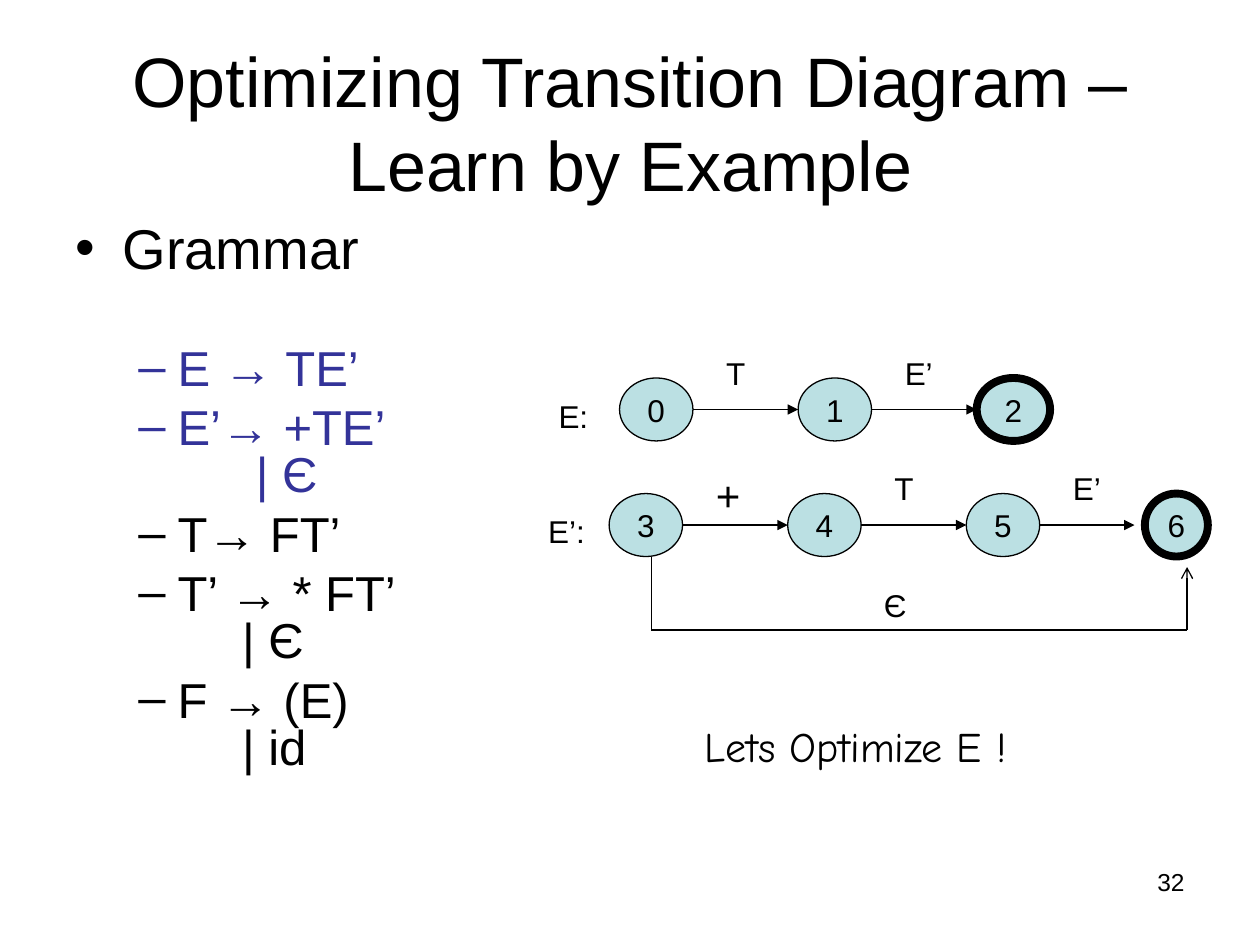
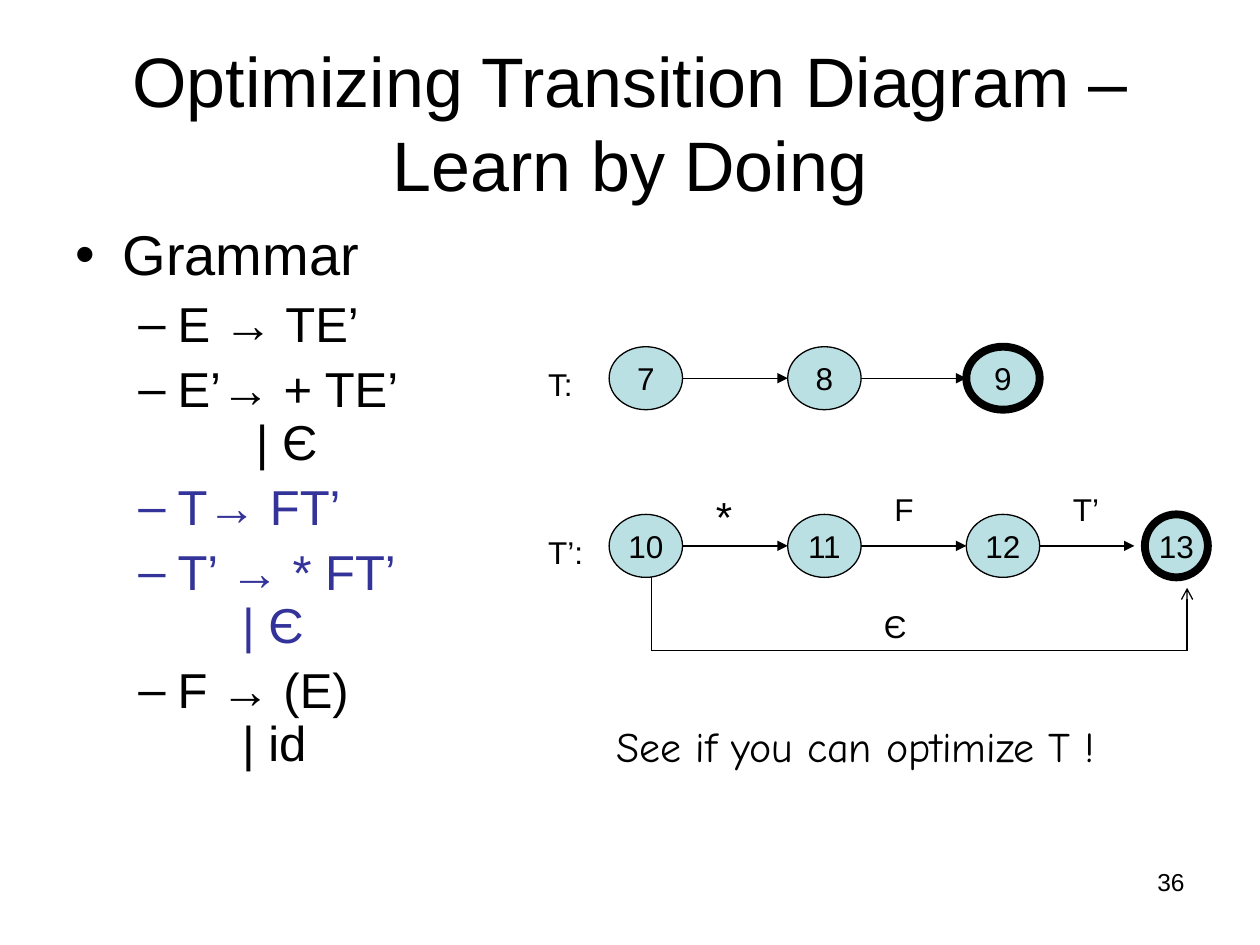
from dataclasses import dataclass

from lxml import etree
from pptx import Presentation
from pptx.dml.color import RGBColor
from pptx.enum import shapes, text
from pptx.oxml import ns
from pptx.util import Cm, Pt

BLACK = RGBColor(0x00, 0x00, 0x00)
INDIGO = RGBColor(0x33, 0x33, 0x99)
PALE_TEAL = RGBColor(0xBB, 0xE0, 0xE3)
BODY_FONT = "Arial"
CALL_FONT = "Comic Neue"
LEFT, CENTER, RIGHT = text.PP_ALIGN.LEFT, text.PP_ALIGN.CENTER, text.PP_ALIGN.RIGHT

# Diagram measures in cm
STATE_STEP = 3.6
STATE_WIDTH = 1.48
STATE_HEIGHT = 1.27
LABEL_WIDTH = 1.27
LABEL_HEIGHT = 1.02
LABEL_SHIFT = 1.9
LABEL_RISE = 0.61
FINAL_GAP = 0.21
BYPASS_INSET = 0.85
BYPASS_DROP = 2.75


@dataclass(frozen=True)
class Rule:
    """One grammar rule; the alternative goes on a second line at a tab stop."""
    production: str
    alternative: str = ""
    tab: float = 3.36


@dataclass(frozen=True)
class Diagram:
    """A row of states; with a bypass, an Є edge runs from first to last."""
    name: str
    left: float
    top: float
    states: tuple[int, ...]
    edges: tuple[str, ...] = ()
    bypass: bool = False


@dataclass(frozen=True)
class Lesson:
    title: str
    number: int
    rules: tuple[Rule, ...]
    highlighted: tuple[int, ...]
    body_width: float
    line_spacing: float
    heading_gap: float
    diagrams: tuple[Diagram, ...]
    call: str


def grammar(sum_rule: str) -> tuple[Rule, ...]:
    return (
        Rule("E → TE’"),
        Rule(sum_rule, "| Є", 3.64),
        Rule("T→ FT’"),
        Rule("T’ → * FT’", "| Є"),
        Rule("F → (E)", "| id"),
    )


LESSONS = (
    Lesson(
        "Optimizing Transition Diagram – Learn by Example", 32,
        grammar("E’→ +TE’"), (0, 1), 6.99, 0.8, 32,
        (Diagram("E:", 12.49, 7.62, (0, 1, 2), ("T", "E’")),
         Diagram("E’:", 12.28, 9.95, (3, 4, 5, 6), ("+", "T", "E’"), True)),
        "Lets Optimize E !",
    ),
    Lesson(
        "Optimizing Transition Diagram – Learn by Doing", 36,
        grammar("E’→ + TE’"), (2, 3), 7.83, 0.9, 0,
        (Diagram("T:", 12.28, 6.99, (7, 8, 9)),
         Diagram("T’:", 12.28, 10.37, (10, 11, 12, 13), ("*", "F", "T’"), True)),
        "See if you can optimize T !",
    ),
)


def write(paragraph, words: str, *, size: float = 18, font: str = BODY_FONT,
          color: RGBColor = BLACK, align=LEFT) -> None:
    paragraph.text = words
    paragraph.alignment = align
    for run in paragraph.runs:
        run.font.size = Pt(size)
        run.font.name = font
        run.font.color.rgb = color


def add_box(slide, left: float, top: float, width: float, height: float):
    frame = slide.shapes.add_textbox(Cm(left), Cm(top), Cm(width), Cm(height)).text_frame
    frame.word_wrap = True
    return frame


def add_label(slide, words: str, left: float, top: float, width: float = LABEL_WIDTH,
              height: float = LABEL_HEIGHT, **style) -> None:
    write(add_box(slide, left, top, width, height).paragraphs[0], words, **style)


def add_title(slide, words: str) -> None:
    title = slide.shapes.title
    title.left, title.top, title.width, title.height = Cm(1.27), Cm(0.85), Cm(22.86), Cm(3.18)
    frame = title.text_frame
    frame.auto_size = text.MSO_AUTO_SIZE.NONE
    frame.vertical_anchor = text.MSO_ANCHOR.MIDDLE
    write(frame.paragraphs[0], words, size=40, align=CENTER)


def set_bullet(paragraph, mark: str, color: RGBColor, margin: float, hang: float,
               tab: float = 0) -> None:
    """Give a paragraph its bullet, hanging indent and optional tab stop."""
    properties = paragraph._p.get_or_add_pPr()
    properties.set("marL", str(Cm(margin)))
    properties.set("indent", str(-Cm(hang)))

    def add(parent, tag: str, **attributes: str):
        return etree.SubElement(parent, ns.qn(tag), attributes)

    add(add(properties, "a:buClr"), "a:srgbClr", val=str(color))
    add(properties, "a:buFont", typeface=BODY_FONT)
    add(properties, "a:buChar", char=mark)
    if tab:
        add(add(properties, "a:tabLst"), "a:tab", pos=str(Cm(tab)), algn="l")


def add_grammar(slide, lesson: Lesson) -> None:
    frame = add_box(slide, 1.27, 4.45, lesson.body_width, 12.57)
    heading = frame.paragraphs[0]
    write(heading, "Grammar", size=32)
    heading.line_spacing = lesson.line_spacing
    heading.space_before = Pt(8)
    heading.space_after = Pt(lesson.heading_gap)
    set_bullet(heading, "•", BLACK, 0.95, 0.95)
    for index, rule in enumerate(lesson.rules):
        color = INDIGO if index in lesson.highlighted else BLACK
        words = rule.production
        if rule.alternative:
            words += "\v\t" + rule.alternative
        line = frame.add_paragraph()
        write(line, words, size=28, color=color)
        line.line_spacing = lesson.line_spacing
        line.space_before = Pt(7)
        set_bullet(line, "–", color, 2.06, 0.79, rule.tab if rule.alternative else 0)


def add_state(slide, number: int, left: float, top: float, width: float, final: bool) -> None:
    state = slide.shapes.add_shape(shapes.MSO_SHAPE.OVAL, Cm(left), Cm(top),
                                   Cm(width), Cm(STATE_HEIGHT))
    state.shadow.inherit = False
    state.fill.solid()
    state.fill.fore_color.rgb = PALE_TEAL
    state.line.color.rgb = BLACK
    state.line.width = Pt(4.5 if final else 0.75)
    frame = state.text_frame
    frame.word_wrap = False
    frame.vertical_anchor = text.MSO_ANCHOR.MIDDLE
    write(frame.paragraphs[0], str(number), align=CENTER)


def add_edge(slide, start: tuple[float, float], end: tuple[float, float], head: str = "") -> None:
    edge = slide.shapes.add_connector(shapes.MSO_CONNECTOR.STRAIGHT,
                                      *(Cm(value) for value in start + end))
    edge.line.color.rgb = BLACK
    edge.line.width = Pt(0.75)
    if head:
        etree.SubElement(edge.line._get_or_add_ln(), ns.qn("a:tailEnd"), type=head)
    etree.SubElement(edge._element.spPr, ns.qn("a:effectLst"))


def add_bypass(slide, diagram: Diagram) -> None:
    first = diagram.left + BYPASS_INSET
    last = first + STATE_STEP * (len(diagram.states) - 1)
    floor = diagram.top + BYPASS_DROP
    add_edge(slide, (first, diagram.top + STATE_HEIGHT), (first, floor))
    add_edge(slide, (first, floor), (last, floor))
    add_edge(slide, (last, floor), (last, diagram.top + 1.48), "arrow")
    add_label(slide, "Є", diagram.left + 5.29, diagram.top + 1.74)


def add_diagram(slide, diagram: Diagram) -> None:
    middle = diagram.top + STATE_HEIGHT / 2
    last = len(diagram.states) - 1
    for index, number in enumerate(diagram.states):
        left = diagram.left + index * STATE_STEP
        final = index == last
        round_final = final and diagram.bypass
        add_state(slide, number, left, diagram.top,
                  STATE_HEIGHT if round_final else STATE_WIDTH, final)
        if index:
            end = left - (FINAL_GAP if round_final else 0)
            add_edge(slide, (left - STATE_STEP + STATE_WIDTH, middle), (end, middle), "triangle")
    add_label(slide, diagram.name, diagram.left - STATE_WIDTH, diagram.top + 0.25, STATE_WIDTH)
    for index, symbol in enumerate(diagram.edges):
        add_label(slide, symbol, diagram.left + index * STATE_STEP + LABEL_SHIFT,
                  diagram.top - LABEL_RISE, size=24 if symbol in "+*" else 18)
    if diagram.bypass:
        add_bypass(slide, diagram)


def add_lesson(deck, lesson: Lesson) -> None:
    slide = deck.slides.add_slide(deck.slide_layouts.get_by_name("Title Only"))
    add_title(slide, lesson.title)
    add_grammar(slide, lesson)
    for diagram in lesson.diagrams:
        add_diagram(slide, diagram)
    add_label(slide, lesson.call, 10.37, 14.4, 13.76, 1.27,
              size=24, font=CALL_FONT, align=CENTER)
    add_label(slide, str(lesson.number), 18.2, 17.36, 5.93, 1.32, size=14, align=RIGHT)


def main() -> None:
    deck = Presentation()
    deck.slide_width, deck.slide_height = Cm(25.4), Cm(19.05)
    for lesson in LESSONS:
        add_lesson(deck, lesson)
    deck.save("out.pptx")


if __name__ == "__main__":
    main()
